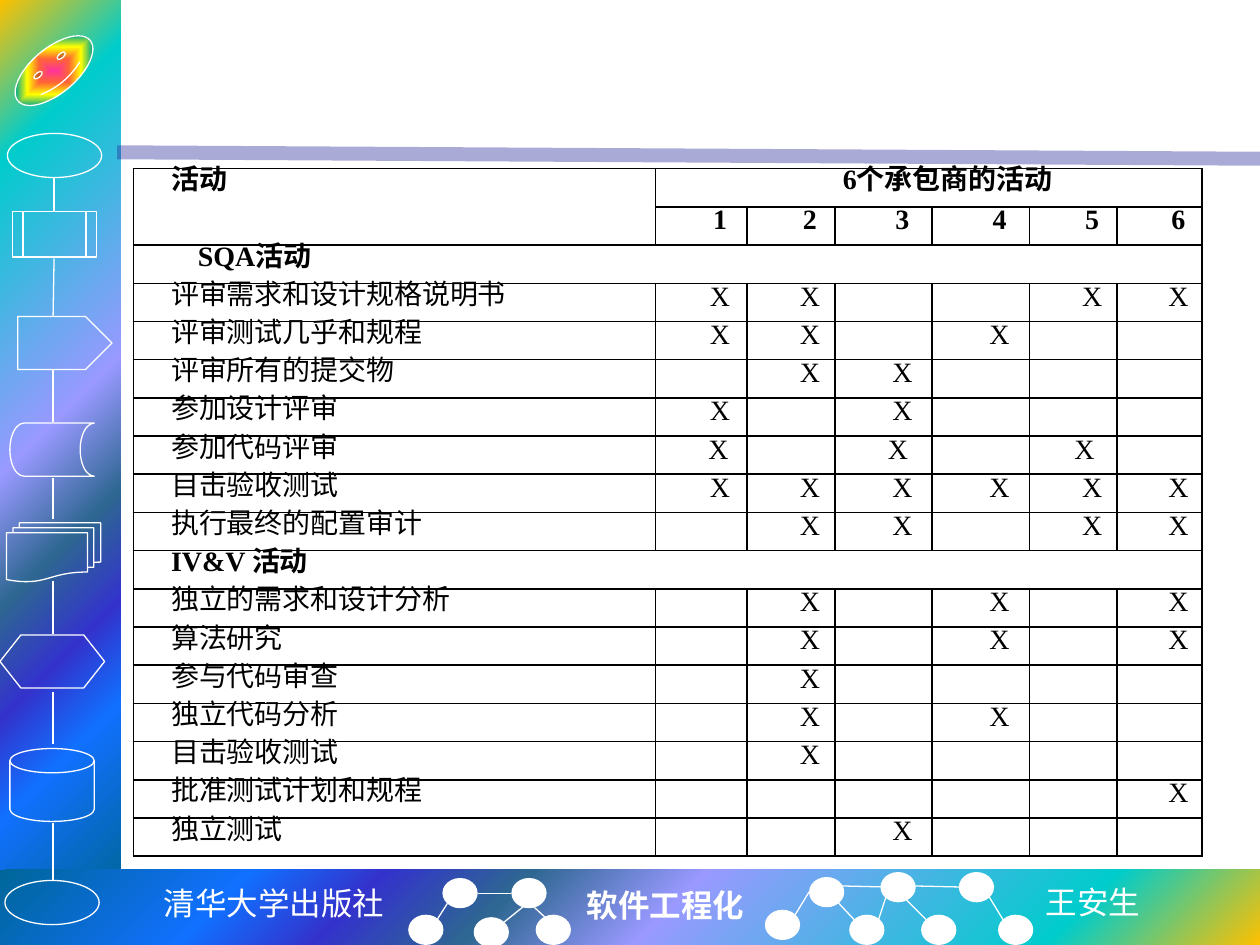
from dataclasses import dataclass
from lxml import etree
from pptx import Presentation
from pptx.dml.color import RGBColor
from pptx.enum.shapes import MSO_CONNECTOR as Link, MSO_SHAPE as Kind
from pptx.enum.text import MSO_AUTO_SIZE as Fit, PP_ALIGN as Align
from pptx.oxml import parse_xml
from pptx.oxml.ns import qn
from pptx.util import Cm, Pt

SPACE = 'xmlns:a="http://schemas.openxmlformats.org/drawingml/2006/main"'


@dataclass(frozen=True)
class Theme:
    white: str = "FFFFFF"
    black: str = "000000"
    bar: str = "262699"
    serif: str = "Times New Roman"
    mono: str = "DejaVu Sans Mono"
    sans: str = "Noto Sans CJK SC"
    body: int = 16
    foot: int = 18
    lead: float = 16.6
    thin: float = 0.75
    sea: tuple = ((0, "FFC000"), (16, "00CCCC"), (47, "9999FF"), (60, "2E6792"),
                  (71, "3333CC"), (81, "1170FF"), (100, "006699"))
    glow: tuple = ((0, "FF3399"), (25, "FF6633"), (50, "FFFF00"),
                   (75, "01A78F"), (100, "3366FF"))


THEME = Theme()

COLS = (10.52, 1.85, 1.77, 1.96, 1.96, 1.77, 1.71)
ROW = 0.77
INDENT = 0.76
LOOSE = "参加代码评审"
LOOSE_INDENT = {1: 1.07, 3: 1.07, 5: 0.91}
GROUPS = (
    ("SQA活动", 1.3, (
        ("评审需求和设计规格说明书", "1256"),
        ("评审测试几乎和规程", "124"),
        ("评审所有的提交物", "23"),
        ("参加设计评审", "13"),
        (LOOSE, "135"),
        ("目击验收测试", "123456"),
        ("执行最终的配置审计", "2356"))),
    ("IV&V 活动", INDENT, (
        ("独立的需求和设计分析", "246"),
        ("算法研究", "246"),
        ("参与代码审查", "2"),
        ("独立代码分析", "24"),
        ("目击验收测试", "2"),
        ("批准测试计划和规程", "6"),
        ("独立测试", "3"))),
)

FLOW = (
    (Kind.OVAL, 0.15, 2.69, 1.9, 0.89),
    (Kind.FLOWCHART_PREDEFINED_PROCESS, 0.25, 4.27, 1.7, 0.91),
    (Kind.PENTAGON, 0.36, 6.38, 1.9, 1.07),
    (Kind.FLOWCHART_STORED_DATA, 0.2, 8.53, 1.7, 1.07),
    (Kind.FLOWCHART_MULTIDOCUMENT, 0.13, 10.54, 1.9, 1.19),
    (Kind.FLOWCHART_PREPARATION, 0, 12.8, 2.11, 1.07),
    (Kind.FLOWCHART_MAGNETIC_DISK, 0.2, 15.09, 1.7, 1.47),
    (Kind.OVAL, 0.1, 17.75, 1.9, 0.89),
)
STEPS = (
    (1.09, 3.56, 1.09, 4.27), (1.09, 5.21, 1.07, 6.38), (1.07, 7.44, 1.07, 8.51),
    (1.07, 9.63, 1.07, 10.46), (1.07, 11.71, 1.07, 12.78),
    (1.07, 13.94, 1.07, 14.99), (1.07, 16.59, 1.07, 17.75),
)
NODES = (
    (8.92, 17.7), (10.31, 17.7), (8.23, 18.44), (9.55, 18.49), (10.8, 18.44),
    (16.31, 17.68), (17.75, 17.58), (19.33, 17.58),
    (15.42, 18.34), (17.12, 18.44), (18.57, 18.44), (20.12, 18.44),
)
EDGES = (
    (8.81, 18.54, 9.02, 18.21), (10.16, 18.59, 10.57, 18.26),
    (10.31, 18.01, 9.63, 18.01), (11.02, 18.52, 10.77, 18.29),
    (17.22, 18.54, 16.89, 18.19), (18.67, 18.54, 18.16, 18.03),
    (20.22, 18.54, 19.94, 18.08), (17.7, 18.57, 17.86, 18.08),
    (18.44, 17.86, 19.33, 17.88), (16.03, 18.44, 16.31, 17.98),
    (16.97, 17.86, 17.86, 17.88),
)


def rgb(code):
    return RGBColor.from_string(code)


def write(frame, text, *, font=THEME.serif, size=THEME.body, color=THEME.black,
          bold=False, align=Align.LEFT, indent=0, lead=None):
    para = frame.paragraphs[0]
    para.alignment = align
    if indent:
        para._p.get_or_add_pPr().set("indent", str(Cm(indent)))
    if lead:
        para.line_spacing = Pt(lead)
    para.font.size = Pt(size)
    if text:
        run = para.add_run()
        run.text = text
        run.font.name, run.font.size, run.font.bold = font, Pt(size), bold
        run.font.color.rgb = rgb(color)
        east = etree.SubElement(run._r.get_or_add_rPr(), qn("a:ea"))
        east.set("typeface", THEME.sans)


def shape(slide, kind, x, y, wide, high, *, fill=None, line=None):
    item = slide.shapes.add_shape(kind, Cm(x), Cm(y), Cm(wide), Cm(high))
    item.shadow.inherit = False
    item.fill.background()
    if fill:
        item.fill.solid()
        item.fill.fore_color.rgb = rgb(fill)
    item.line.fill.background()
    if line:
        item.line.color.rgb = rgb(line)
        item.line.width = Pt(THEME.thin)
    return item


def shade(item, stops, mode, focus):
    marks = "".join(f'<a:gs pos="{at * 1000}"><a:srgbClr val="{code}"/></a:gs>'
                    for at, code in stops)
    sides = " ".join(f'{side}="{value * 1000}"' for side, value in zip("ltrb", focus))
    grad = parse_xml(f'<a:gradFill {SPACE} rotWithShape="1"><a:gsLst>{marks}</a:gsLst>'
                     f'<a:path path="{mode}"><a:fillToRect {sides}/></a:path></a:gradFill>')
    props = item._element.spPr
    props.replace(props.find(qn("a:noFill")), grad)


def line(slide, ends, *, color=THEME.white, width=THEME.thin, alpha=None):
    item = slide.shapes.add_connector(Link.STRAIGHT, *map(Cm, ends))
    item.line.color.rgb = rgb(color)
    item.line.width = Pt(width)
    props = item._element.spPr
    if alpha:
        tint = etree.SubElement(next(props.iter(qn("a:srgbClr"))), qn("a:alpha"))
        tint.set("val", str(alpha * 1000))
    etree.SubElement(props, qn("a:effectLst"))


def label(slide, text, x, y, wide, **style):
    box = slide.shapes.add_textbox(Cm(x), Cm(y), Cm(wide), Cm(1.02))
    box.text_frame.word_wrap = False
    box.text_frame.auto_size = Fit.SHAPE_TO_FIT_TEXT
    write(box.text_frame, text, size=THEME.foot, color=THEME.white, **style)


def rule(cell):
    cell.fill.background()
    props = cell._tc.get_or_add_tcPr()
    for place, side in enumerate("LRTB"):
        props.insert(place, parse_xml(
            f'<a:ln{side} {SPACE} w="{Pt(1)}"><a:solidFill>'
            f'<a:srgbClr val="{THEME.black}"/></a:solidFill></a:ln{side}>'))


def fill(cell, text, *, align=Align.CENTER, indent=INDENT, bold=False):
    cell.margin_left = cell.margin_right = cell.margin_top = cell.margin_bottom = 0
    rule(cell)
    write(cell.text_frame, text, align=align, indent=indent, bold=bold, lead=THEME.lead)


def grid(slide):
    count = 2 + sum(1 + len(tasks) for _, _, tasks in GROUPS)
    table = slide.shapes.add_table(count, len(COLS), Cm(2.69), Cm(3.4),
                                   Cm(sum(COLS)), Cm(ROW * count)).table
    table.first_row = table.horz_banding = False
    for col, wide in zip(table.columns, COLS):
        col.width = Cm(wide)
    for row in table.rows:
        row.height = Cm(ROW)
    last = len(COLS) - 1
    cell = table.cell
    cell(0, 0).merge(cell(1, 0))
    cell(0, 1).merge(cell(0, last))
    heads = (("活动", "6个承包商的活动") + ("",) * (last - 1), ("", *"123456"))
    for row, names in enumerate(heads):
        for col, name in enumerate(names):
            fill(cell(row, col), name, bold=True,
                 align=Align.CENTER if col else Align.JUSTIFY)
    row = len(heads)
    for title, indent, tasks in GROUPS:
        cell(row, 0).merge(cell(row, last))
        for col in range(last + 1):
            fill(cell(row, col), "" if col else title, bold=True,
                 align=Align.JUSTIFY, indent=indent)
        for row, (task, marks) in enumerate(tasks, row + 1):
            fill(cell(row, 0), task, align=Align.JUSTIFY)
            for col in range(1, last + 1):
                loose = task == LOOSE and col in LOOSE_INDENT
                fill(cell(row, col), "X" if str(col) in marks else "",
                     align=Align.JUSTIFY if loose else Align.CENTER,
                     indent=LOOSE_INDENT[col] if loose else INDENT)
        row += 1


def frame(slide):
    side = shape(slide, Kind.RECTANGLE, 0, 0, 2.44, 18.01)
    shade(side, THEME.sea, "circle", (0, 0, 100, 100))
    base = shape(slide, Kind.RECTANGLE, 0, 17.53, 25.4, 1.52)
    shade(base, THEME.sea, "circle", (100, 100, 0, 0))
    line(slide, (2.36, 3.07, 25.4, 3.2), color=THEME.bar, width=8, alpha=39)
    face = shape(slide, Kind.SMILEY_FACE, 0.14, 0.97, 1.9, 0.91, line=THEME.white)
    shade(face, THEME.glow, "shape", (50, 50, 50, 50))
    face.rotation = -40


def main():
    deck = Presentation()
    deck.slide_width, deck.slide_height = Cm(25.4), Cm(19.05)
    slide = deck.slides.add_slide(deck.slide_layouts[6])
    frame(slide)
    for part in FLOW:
        shape(slide, *part, line=THEME.white)
    for x, y in NODES:
        shape(slide, Kind.OVAL, x, y, 0.71, 0.61, fill=THEME.white)
    for ends in STEPS + EDGES:
        line(slide, ends)
    label(slide, "清华大学出版社", 3.02, 17.7, 5, font=THEME.mono, align=Align.CENTER)
    label(slide, "软件工程化", 11.58, 17.73, 3.71, bold=True)
    label(slide, "王安生", 20.83, 17.68, 2.44, font=THEME.sans)
    grid(slide)
    deck.save("out.pptx")


if __name__ == "__main__":
    main()
